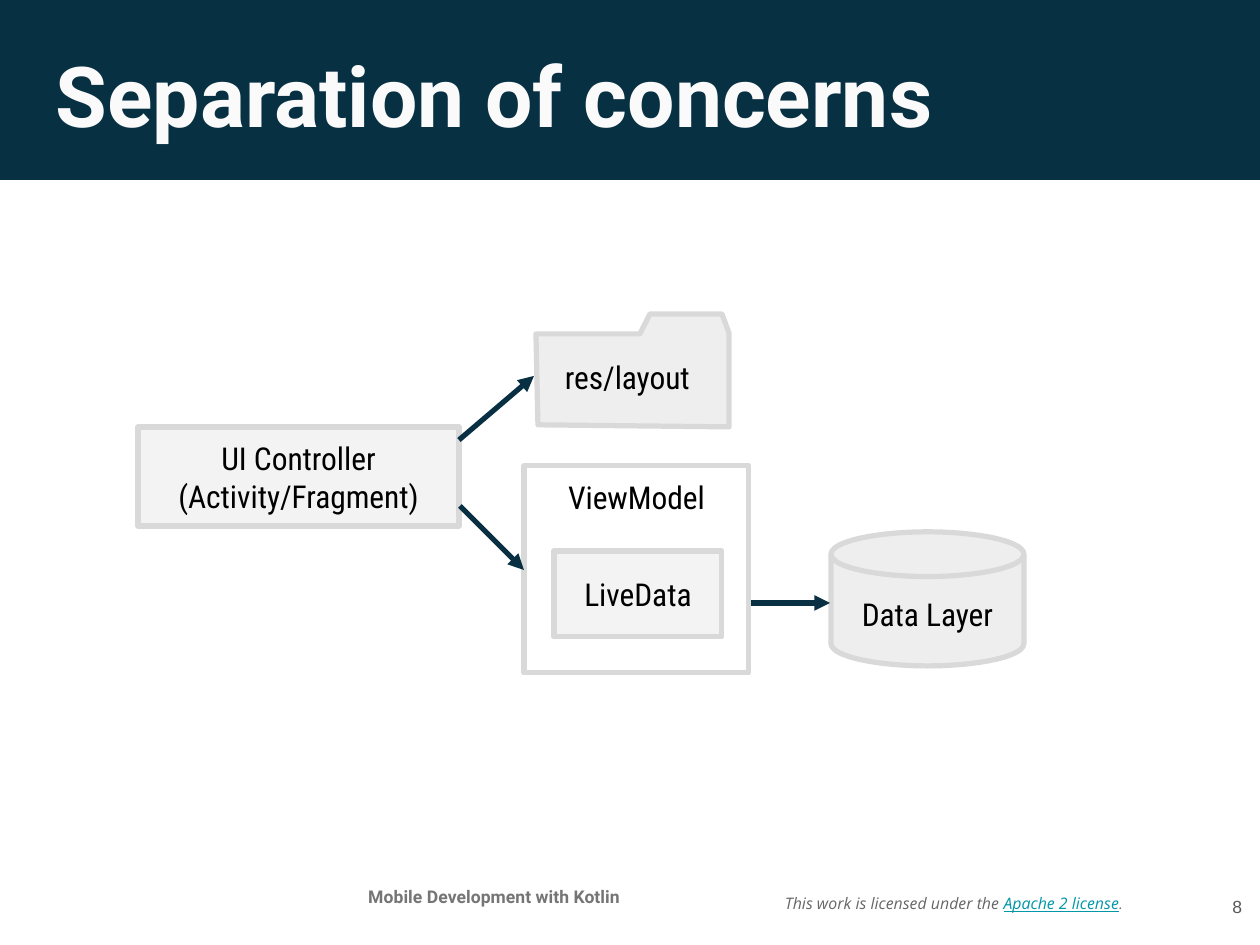
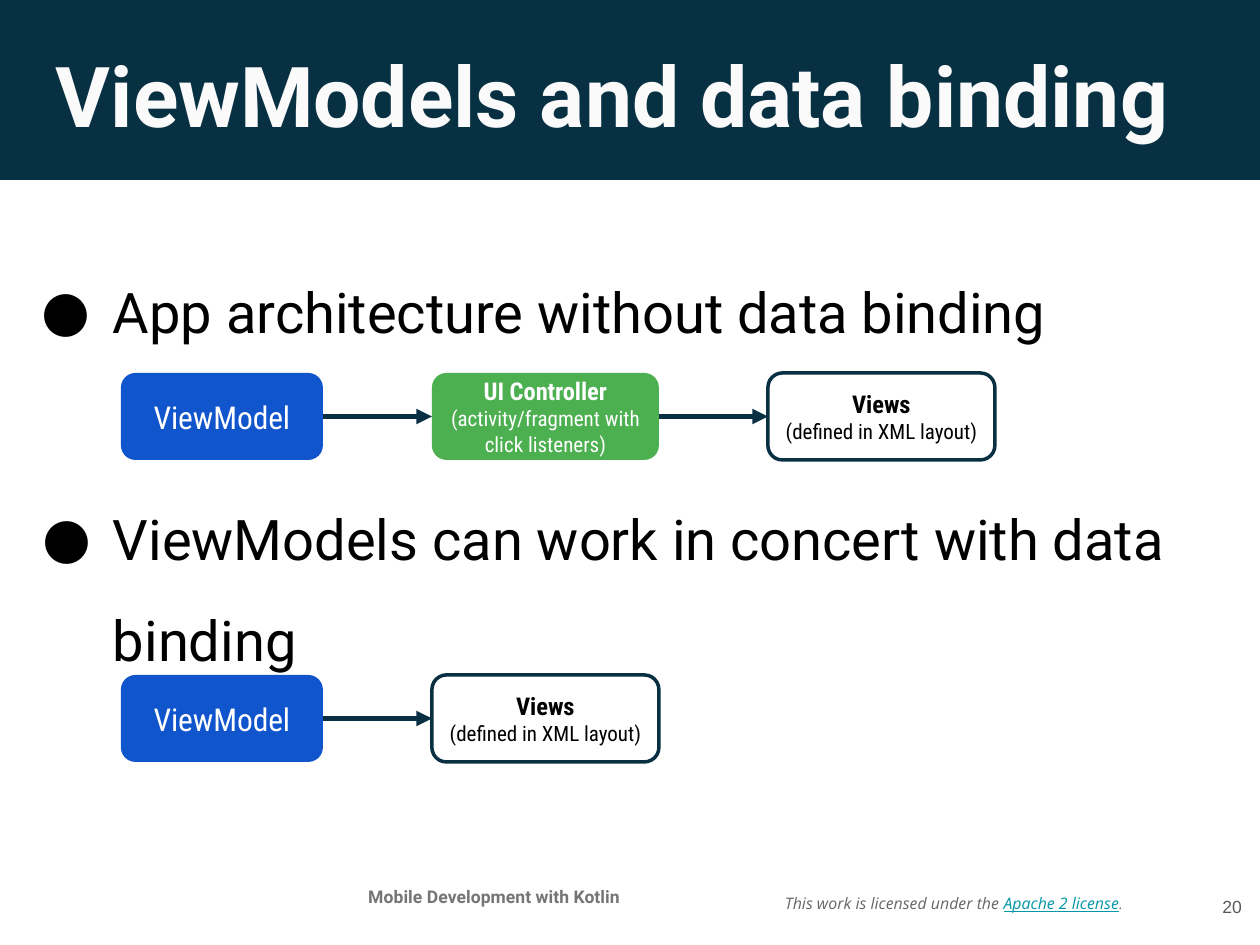
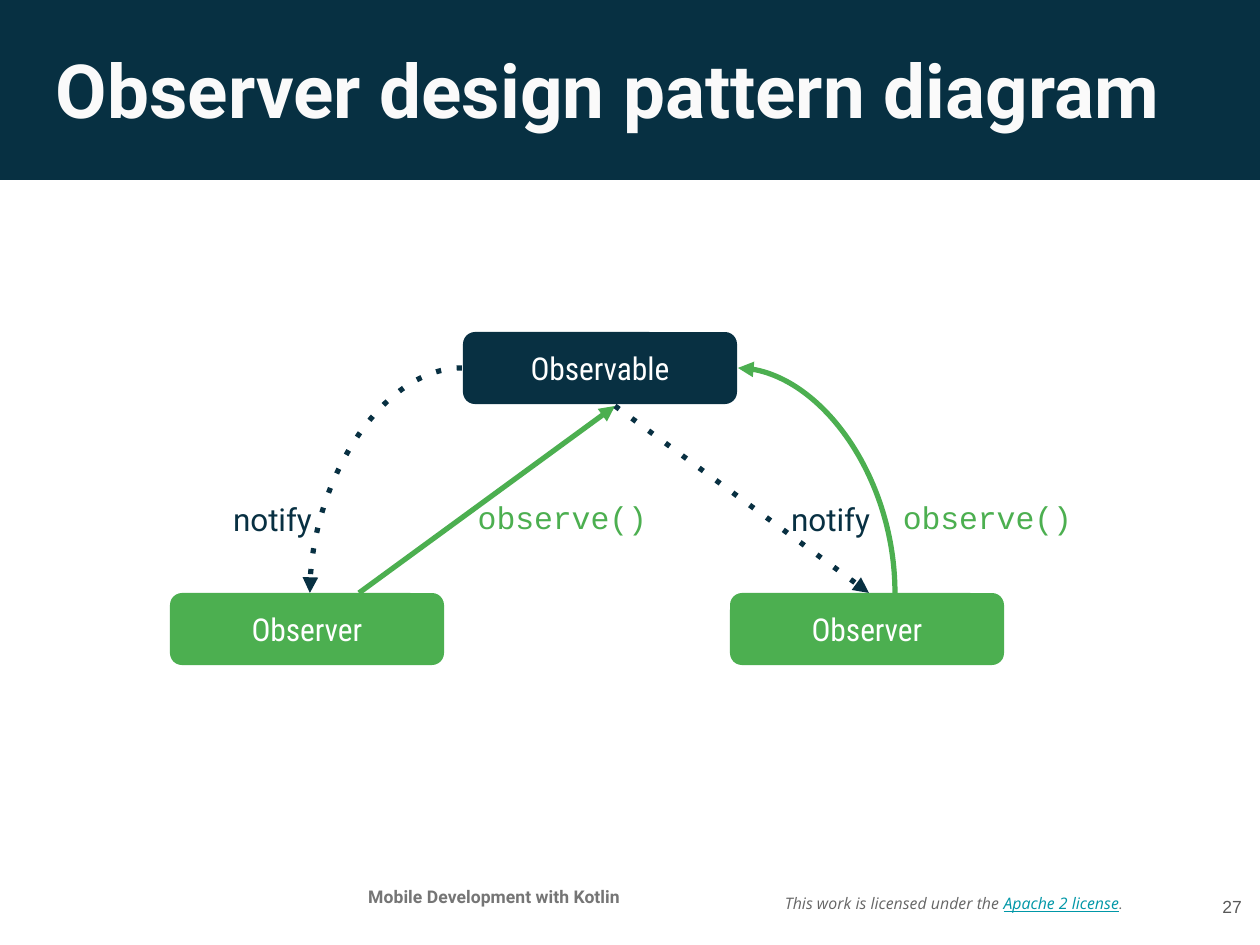
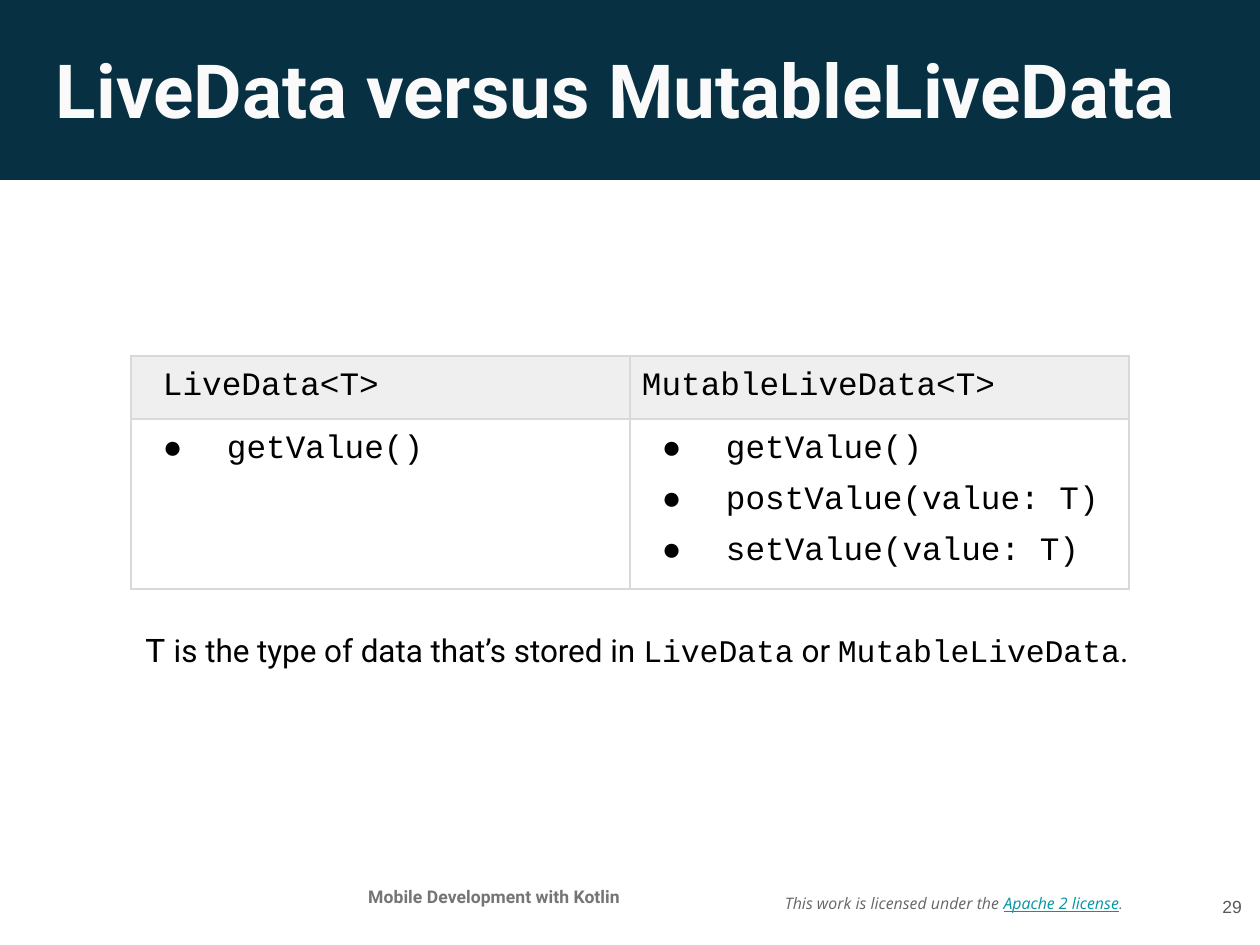
import pptx
import pptx.dml.color
import pptx.enum.shapes
import pptx.enum.text
import pptx.oxml.ns
import pptx.util
from lxml import etree

EMU_PER_PX = 914400 / 168
SLIDE_SIZE = (1260, 945)
INSET = 12
KIND = pptx.enum.shapes.MSO_SHAPE
ANCHOR = pptx.enum.text.MSO_ANCHOR
ALIGN = pptx.enum.text.PP_ALIGN

COLORS = {
    "band": "073042", "navy": "083042", "title": "FAFAFA", "white": "FFFFFF",
    "black": "000000", "course": "757575", "license": "666666", "link": "0097A7",
    "number": "595959", "border": "D9D9D9", "panel": "F3F3F3", "store": "EEEEEE",
    "header": "EFEFEF", "blue": "1155CC", "green": "4CAF50",
}

# Shared parts
BAND = (0, 0, 1260, 180)
TITLE_BOX = (44, 32, 1174, 106)
COURSE_BOX = (316, 875, 356, 54)
LICENSE_BOX = (773, 864, 370, 79)
NUMBER_BOX = (1178, 870, 76, 72)
COURSE = "Mobile Development with Kotlin"
LICENSE = [
    "This work is licensed under the ",
    ("Apache 2 license", {"color": "link", "underline": True}),
    (".", {"font": "Roboto"}),
]

# Separation of concerns
FOLDER = [(536, 334), (640, 334), (650, 314), (722, 314), (729, 333), (729, 427), (538, 425)]
COMPONENTS = [
    (KIND.RECTANGLE, (524, 466, 225, 207), "white", ["ViewModel"], {"anchor": ANCHOR.TOP}),
    (KIND.RECTANGLE, (554, 551, 168, 86), "panel", ["LiveData"], {}),
    (KIND.FLOWCHART_MAGNETIC_DISK, (831, 532, 193, 134), "store", ["Data Layer"],
     {"insets": (INSET, 20, INSET, INSET)}),
    (KIND.RECTANGLE, (138, 427, 321, 99), "panel", ["UI Controller", "(Activity/Fragment)"], {}),
]
DEPENDENCIES = [((459, 440), (534, 376)), ((460, 506), (524, 570)), ((751, 603), (830, 603))]

# ViewModels and data binding
BINDING_POINTS = [
    ((17, 232, 1174, 79), "App architecture without data binding"),
    ((17, 459, 1193, 87), "ViewModels can work in concert with data binding"),
]
SMALL = {"size": 9, "bold": False}
VIEW_MODEL = (202, "blue", None, ["ViewModel"], {"color": "white"})
CONTROLLER = (227, "green", None,
              ["UI Controller", [("(activity/fragment with click listeners)", SMALL)]],
              {"color": "white", "size": 10.5, "bold": True})
VIEWS = (227, None, "navy", ["Views", [("(defined in XML layout)", SMALL)]],
         {"size": 10.5, "bold": True})
CHAINS = [(373, [VIEW_MODEL, CONTROLLER, VIEWS]), (675, [VIEW_MODEL, VIEWS])]
CHAIN_LEFT, CHAIN_GAP, CHAIN_HEIGHT = 121, 109, 87

# Observer design pattern
NODE_SIZE = (274, 72)
NODES = [("Observable", (463, 332), "navy"), ("Observer", (730, 593), "green"),
         ("Observer", (170, 593), "green")]
MESSAGES = [
    ((359, 593), (615, 406), "green", {}),
    ((615, 406), (869, 593), "navy", {"dotted": True}),
    ((462, 368), (310, 593), "navy", {"dotted": True, "curved": True}),
    ((738, 368), (895, 593), "green", {"curved": True, "head": "headEnd"}),
]
NOTIFY = ("notify", {"font": "Roboto", "color": "navy"})
OBSERVE = ("observe()", {"font": "Courier New", "color": "green"})
MESSAGE_LABELS = [
    (NOTIFY, (213, 506, 119, 25)), (NOTIFY, (771, 506, 119, 25)),
    (OBSERVE, (464, 497, 197, 40)), (OBSERVE, (884, 497, 207, 40)),
]

# LiveData versus MutableLiveData
TABLE_BOX = (131, 356, 998, 224)
ROW_HEIGHTS = (62, 162)
CLASSES = [
    ("LiveData<T>", 32, ["getValue()"]),
    ("MutableLiveData<T>", INSET, ["getValue()", "postValue(value: T)", "setValue(value: T)"]),
]
CAPTION_BOX = (133, 616, 1035, 64)
CODE = {"font": "Courier New"}
CAPTION = [
    ("T", {"font": "Courier New", "size": 15}), " is the type of data that’s stored in ",
    ("LiveData", CODE), " or ", ("MutableLiveData", CODE), ".",
]


def px(length):
    return pptx.util.Emu(round(length * EMU_PER_PX))


def rgb(name):
    return pptx.dml.color.RGBColor.from_string(COLORS[name])


def add_xml(parent, tag, **attributes):
    return etree.SubElement(parent, pptx.oxml.ns.qn(tag), attributes)


def write_text(holder, paragraphs, font="Roboto Condensed", size=13.5, color="black",
               bold=False, italic=False, underline=False, align=ALIGN.CENTER,
               anchor=ANCHOR.MIDDLE, insets=(INSET,) * 4, bullet_indent=None,
               line_spacing=None, space_before=0, space_after=0):
    """Fill a shape or cell; a paragraph is a string or a list of runs,
    a run is a string or a (string, overrides) pair."""
    frame = holder.text_frame
    frame.word_wrap = True
    area = holder if hasattr(holder, "margin_left") else frame
    area.vertical_anchor = anchor
    area.margin_left, area.margin_top, area.margin_right, area.margin_bottom = map(px, insets)
    base = {"font": font, "size": size, "color": color, "bold": bold,
            "italic": italic, "underline": underline}
    for index, runs in enumerate(paragraphs):
        paragraph = frame.add_paragraph() if index else frame.paragraphs[0]
        paragraph.alignment = align
        if bullet_indent:
            properties = paragraph._p.get_or_add_pPr()
            properties.set("marL", str(px(84)))
            properties.set("indent", str(-px(bullet_indent)))
            add_xml(add_xml(properties, "a:buClr"), "a:srgbClr", val=COLORS[color])
            add_xml(properties, "a:buFont", typeface=font)
            add_xml(properties, "a:buChar", char="●")
        if line_spacing:
            paragraph.line_spacing = line_spacing
        if index:
            paragraph.space_before = pptx.util.Pt(space_before)
        paragraph.space_after = pptx.util.Pt(space_after)
        for part in [runs] if isinstance(runs, str) else runs:
            words, changes = (part, {}) if isinstance(part, str) else part
            style = {**base, **changes}
            run = paragraph.add_run()
            run.text = words
            run.font.name = style["font"]
            run.font.size = pptx.util.Pt(style["size"])
            run.font.color.rgb = rgb(style["color"])
            run.font.bold = style["bold"]
            run.font.italic = style["italic"]
            run.font.underline = style["underline"]


def add_label(slide, box, paragraphs, **style):
    write_text(slide.shapes.add_textbox(*map(px, box)), paragraphs, **style)


def paint(shape, fill=None, line=None, weight=2.25):
    shape.shadow.inherit = False
    if fill:
        shape.fill.solid()
        shape.fill.fore_color.rgb = rgb(fill)
    else:
        shape.fill.background()
    if line:
        shape.line.color.rgb = rgb(line)
        shape.line.width = pptx.util.Pt(weight)
    else:
        shape.line.fill.background()


def add_block(slide, kind, box, fill=None, line=None, weight=2.25):
    block = slide.shapes.add_shape(kind, *map(px, box))
    if kind == KIND.ROUNDED_RECTANGLE:
        block.adjustments[0] = 0.167
    paint(block, fill, line, weight)
    return block


def add_arrow(slide, start, end, color="navy", dotted=False, curved=False, head="tailEnd"):
    route = pptx.enum.shapes.MSO_CONNECTOR
    arrow = slide.shapes.add_connector(route.CURVE if curved else route.STRAIGHT,
                                       *map(px, start + end))
    properties = arrow._element.spPr
    if curved:
        properties.find(pptx.oxml.ns.qn("a:prstGeom")).set("prst", "curvedConnector2")
    arrow.line.color.rgb = rgb(color)
    arrow.line.width = pptx.util.Pt(2.25)
    stroke = arrow.line._get_or_add_ln()
    if dotted:
        add_xml(stroke, "a:prstDash", val="dot")
    add_xml(stroke, f"a:{head}", type="triangle")
    add_xml(properties, "a:effectLst")
    return arrow


def add_slide(deck, title, number, title_size):
    slide = deck.slides.add_slide(deck.slide_layouts[6])
    add_block(slide, KIND.RECTANGLE, BAND, "band")
    add_label(slide, TITLE_BOX, [title], font="Roboto", size=title_size, color="title",
              bold=True, align=ALIGN.LEFT, anchor=ANCHOR.TOP)
    add_label(slide, COURSE_BOX, [COURSE], font="Roboto", size=7.5, color="course",
              bold=True, anchor=ANCHOR.TOP)
    add_label(slide, LICENSE_BOX, [LICENSE], font="Open Sans", size=6.8, color="license",
              italic=True, align=ALIGN.LEFT)
    add_label(slide, NUMBER_BOX, [str(number)], font="Arial", size=7.5, color="number",
              align=ALIGN.RIGHT)
    return slide


def draw_concerns(slide):
    outline = slide.shapes.build_freeform(*FOLDER[0], scale=EMU_PER_PX)
    outline.add_line_segments(FOLDER[1:])
    folder = outline.convert_to_shape()
    paint(folder, "store", "border")
    write_text(folder, ["res/layout"], align=ALIGN.LEFT, insets=(29, 24, INSET, INSET))
    for kind, box, fill, lines, style in COMPONENTS:
        write_text(add_block(slide, kind, box, fill, "border"), lines, **style)
    for start, end in DEPENDENCIES:
        add_arrow(slide, start, end)


def draw_binding(slide):
    for box, point in BINDING_POINTS:
        add_label(slide, box, [point], font="Roboto", size=24, align=ALIGN.LEFT,
                  anchor=ANCHOR.TOP, bullet_indent=71, line_spacing=1.5, space_after=7.5)
    for top, steps in CHAINS:
        left, previous = CHAIN_LEFT, None
        middle = top + CHAIN_HEIGHT / 2
        for width, fill, line, lines, style in steps:
            step = add_block(slide, KIND.ROUNDED_RECTANGLE, (left, top, width, CHAIN_HEIGHT),
                             fill, line, weight=1.5)
            write_text(step, lines, **style)
            if previous:
                arrow = add_arrow(slide, (left - CHAIN_GAP, middle), (left, middle))
                arrow.begin_connect(previous, 3)
                arrow.end_connect(step, 1)
            left, previous = left + width + CHAIN_GAP, step


def draw_observers(slide):
    for start, end, color, look in MESSAGES:
        add_arrow(slide, start, end, color, **look)
    for (message, style), box in MESSAGE_LABELS:
        add_label(slide, box, [message], **style)
    for name, corner, fill in NODES:
        node = add_block(slide, KIND.ROUNDED_RECTANGLE, corner + NODE_SIZE, fill)
        write_text(node, [name], color="white")


def style_cell(cell, fill=None):
    properties = cell._tc.get_or_add_tcPr()
    for side in "LRTB":
        border = add_xml(properties, f"a:ln{side}", w=str(pptx.util.Pt(0.75)))
        add_xml(add_xml(border, "a:solidFill"), "a:srgbClr", val=COLORS["border"])
    if fill:
        cell.fill.solid()
        cell.fill.fore_color.rgb = rgb(fill)
    else:
        cell.fill.background()


def draw_comparison(slide):
    table = slide.shapes.add_table(2, len(CLASSES), *map(px, TABLE_BOX)).table
    table.first_row = table.horz_banding = False
    for row, height in zip(table.rows, ROW_HEIGHTS):
        row.height = px(height)
    code = {"font": "Courier New", "size": 14, "align": ALIGN.LEFT, "anchor": ANCHOR.TOP}
    for column, (name, left_inset, methods) in enumerate(CLASSES):
        header, body = table.cell(0, column), table.cell(1, column)
        style_cell(header, "header")
        style_cell(body)
        write_text(header, [name], insets=(left_inset, INSET, INSET, INSET), **code)
        write_text(body, methods, bullet_indent=64, space_before=6, **code)
    add_label(slide, CAPTION_BOX, [CAPTION], font="Roboto", align=ALIGN.LEFT,
              anchor=ANCHOR.TOP)


SLIDES = [
    ("Separation of concerns", 8, 36, draw_concerns),
    ("ViewModels and data binding", 20, 36, draw_binding),
    ("Observer design pattern diagram", 27, 32, draw_observers),
    ("LiveData versus MutableLiveData", 29, 32, draw_comparison),
]


def main():
    deck = pptx.Presentation()
    deck.slide_width, deck.slide_height = map(px, SLIDE_SIZE)
    for title, number, title_size, draw in SLIDES:
        draw(add_slide(deck, title, number, title_size))
    deck.save("out.pptx")


if __name__ == "__main__":
    main()
